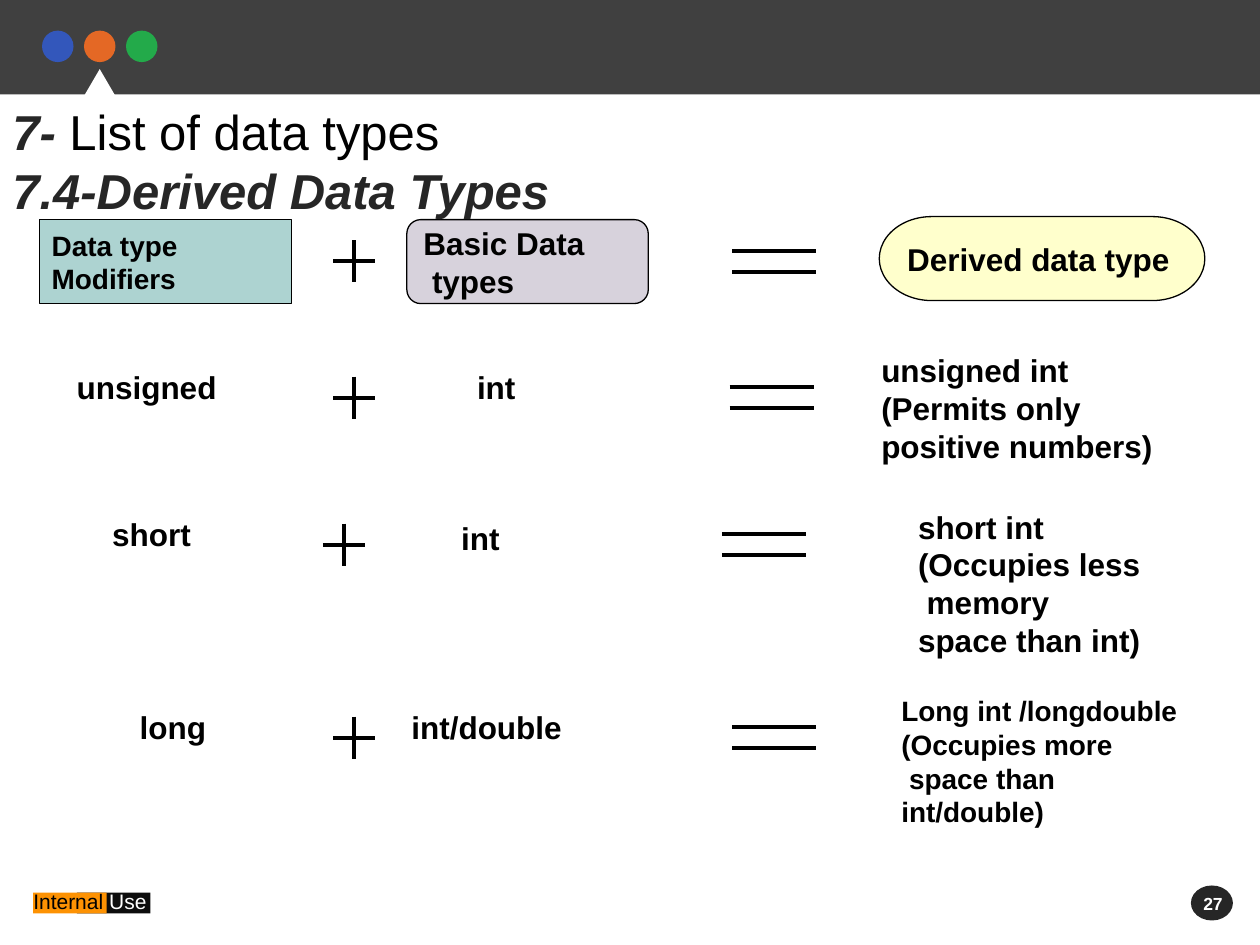
from lxml.etree import SubElement
from pptx import Presentation
from pptx.dml.color import RGBColor
from pptx.enum.shapes import MSO_CONNECTOR, MSO_SHAPE
from pptx.enum.text import MSO_ANCHOR, PP_ALIGN
from pptx.oxml.ns import qn
from pptx.util import Pt

BLACK = RGBColor(0, 0, 0)
WHITE = RGBColor(255, 255, 255)
GREY = RGBColor(0x40, 0x40, 0x40)
DARK = RGBColor(0x26, 0x26, 0x26)
INK = RGBColor(0x0D, 0x0D, 0x0D)
BLUE = RGBColor(0x33, 0x57, 0xBB)
ORANGE = RGBColor(0xE4, 0x68, 0x25)
GREEN = RGBColor(0x23, 0xAA, 0x4A)
AMBER = RGBColor(0xFD, 0x92, 0x03)
TEAL = RGBColor(0xAD, 0xD3, 0xD1)
LILAC = RGBColor(0xD7, 0xD2, 0xDC)
CREAM = RGBColor(0xFF, 0xFF, 0xCC)


class Page:
    font = "Arial"
    edge = 0.75
    stroke = 2.25

    def __init__(self, slide):
        self.shapes = slide.shapes

    def style(self, run, size, color=BLACK, bold=True, italic=False):
        font = run.font
        font.name, font.size = self.font, Pt(size)
        font.bold, font.italic = bold, italic
        font.color.rgb = color

    def shape(self, kind, box, fill, line=None):
        item = self.shapes.add_shape(kind, *map(Pt, box))
        item.shadow.inherit = False
        item.fill.solid()
        item.fill.fore_color.rgb = fill
        if line is None:
            item.line.fill.background()
        else:
            item.line.color.rgb = line
            item.line.width = Pt(self.edge)
        return item

    def set_text(self, item, text, size, color=BLACK):
        frame = item.text_frame
        frame.word_wrap = True
        frame.text = text
        for par in frame.paragraphs:
            par.alignment = PP_ALIGN.LEFT
            for run in par.runs:
                self.style(run, size, color)

    def label(self, kind, box, fill, text, size):
        item = self.shape(kind, box, fill, BLACK)
        item.text_frame.vertical_anchor = MSO_ANCHOR.MIDDLE
        self.set_text(item, text, size)

    def text(self, box, text, size, color=BLACK):
        item = self.shapes.add_textbox(*map(Pt, box))
        self.set_text(item, text, size, color)

    def rich(self, box, size, lines):
        """Add a text box whose lines are lists of (text, color, bold italic)."""
        frame = self.shapes.add_textbox(*map(Pt, box)).text_frame
        frame.word_wrap = True
        for i, parts in enumerate(lines):
            par = frame.add_paragraph() if i else frame.paragraphs[0]
            for text, color, strong in parts:
                run = par.add_run()
                run.text = text
                self.style(run, size, color, strong, strong)

    def line(self, *ends):
        item = self.shapes.add_connector(MSO_CONNECTOR.STRAIGHT, *map(Pt, ends))
        item.line.color.rgb = BLACK
        item.line.width = Pt(self.stroke)
        SubElement(item._element.spPr, qn("a:effectLst"))

    def plus(self, x, y, arm=12):
        self.line(x, y - arm, x, y + arm)
        self.line(x - arm, y, x + arm, y)

    def equal(self, x, y, width=48, gap=12):
        for level in (y - gap / 2, y + gap / 2):
            self.line(x, level, x + width, level)


def main():
    deck = Presentation()
    deck.slide_width, deck.slide_height = Pt(720), Pt(540)
    page = Page(deck.slides.add_slide(deck.slide_layouts[6]))

    # Top band
    page.shape(MSO_SHAPE.RECTANGLE, (0, 0, 720, 54), GREY)
    for i, color in enumerate((BLUE, ORANGE, GREEN)):
        page.shape(MSO_SHAPE.OVAL, (24 + 24 * i, 17.5, 18, 18), color)
    page.shape(MSO_SHAPE.ISOSCELES_TRIANGLE, (36, 39.5, 42, 36), WHITE)

    # Footer tag
    page.shape(MSO_SHAPE.RECTANGLE, (44, 510, 42, 12), INK)
    page.shape(MSO_SHAPE.RECTANGLE, (19, 510, 42, 12), AMBER)
    page.rich((12, 504, 108, 21.6), 12,
              [[("Internal ", BLACK, False), ("Use", WHITE, False)]])

    # Plus x, equal x and middle y of the header and each row
    for plus, equal, mid in ((202.5, 418.5, 149.25), (202.5, 417, 227.25),
                             (196.5, 412.5, 311.25), (202.5, 418.5, 421.5)):
        page.plus(plus, mid)
        page.equal(equal, mid)

    # Header
    page.label(MSO_SHAPE.FLOWCHART_TERMINATOR, (502.5, 123.75, 186, 48),
               CREAM, "Derived data type", 18)
    page.label(MSO_SHAPE.ROUNDED_RECTANGLE, (232.5, 125.5, 138, 48),
               LILAC, "Basic Data\n types", 18)
    page.label(MSO_SHAPE.RECTANGLE, (22.5, 125.5, 144, 48),
               TEAL, "Data type\nModifiers", 16)

    # Rows
    for box, text, size in (
        ((36.75, 207, 124.5, 36), "unsigned", 18),
        ((265.5, 207, 54, 36), "int", 18),
        ((496.5, 197.25, 192, 72),
         "unsigned int\n(Permits only\npositive numbers)", 18),
        ((57, 291, 78, 36), "short", 18),
        ((256.5, 293, 57.5, 36), "int", 18),
        ((517.5, 286.5, 150.5, 93.5),
         "short int\n(Occupies less\n memory\nspace than int)", 18),
        ((72.75, 401, 67, 36), "long", 18),
        ((228, 401, 143, 36), "int/double", 18),
        ((508, 393, 184.5, 84),
         "Long int /longdouble\n(Occupies more\n space than\nint/double)", 16),
    ):
        page.text(box, text, size)

    # Title and page number
    page.rich((0, 54.75, 686, 75), 28, [
        [("7- ", DARK, True), ("List of data types", BLACK, False)],
        [("7.4-Derived Data Types", DARK, True)],
    ])
    page.shape(MSO_SHAPE.OVAL, (680.5, 506, 24, 20), DARK)
    page.text((680.5, 507, 39, 19.5), "27", 10, WHITE)

    deck.save("out.pptx")


if __name__ == "__main__":
    main()
